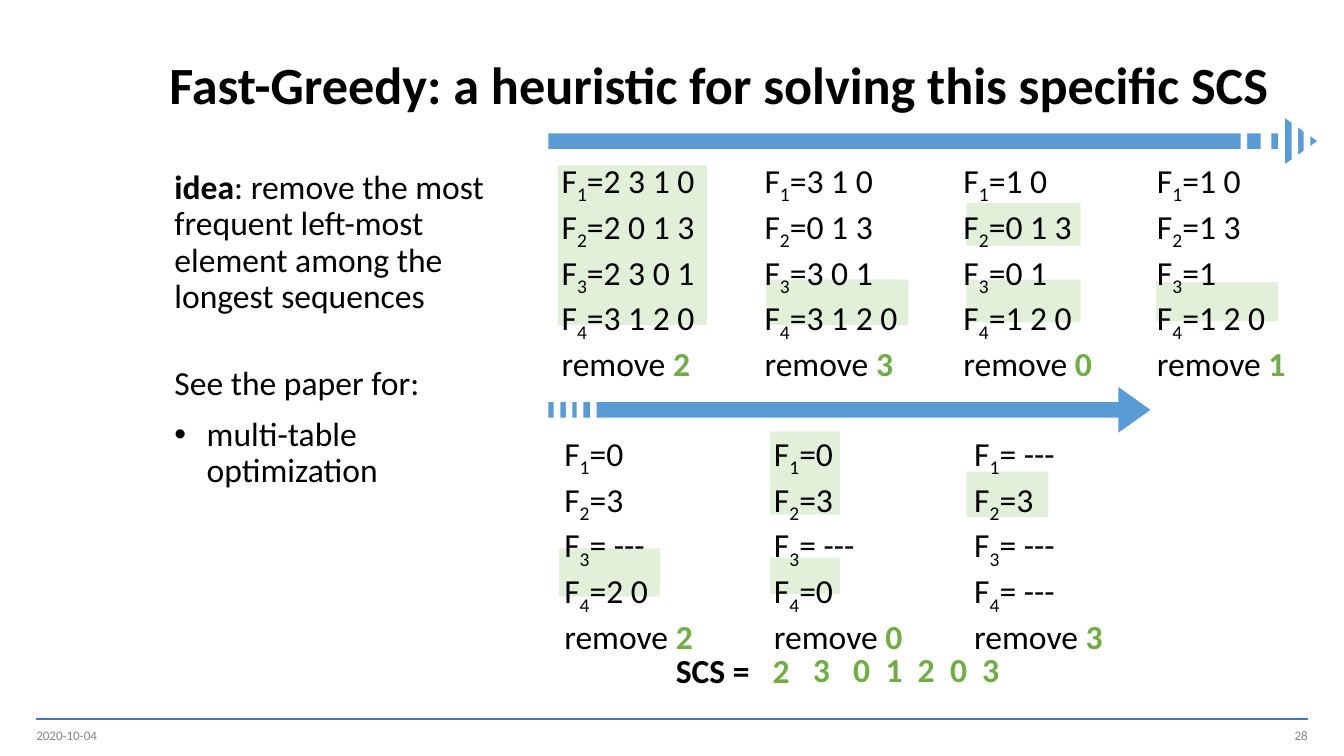
from dataclasses import dataclass

from lxml.etree import SubElement
from pptx import Presentation
from pptx.dml.color import RGBColor
from pptx.enum.shapes import MSO_CONNECTOR, MSO_SHAPE
from pptx.enum.text import MSO_ANCHOR, MSO_AUTO_SIZE, PP_ALIGN
from pptx.oxml.ns import qn
from pptx.util import Inches, Pt


@dataclass(frozen=True)
class Theme:
    font: str = "Calibri"
    text: str = "000000"
    accent: str = "70AD47"
    highlight: str = "E2F0D9"
    arrow: str = "5B9BD5"
    background: str = "FFFFFF"
    rule: str = "4472C4"
    footer: str = "848489"
    title_size: int = 28
    body_size: int = 18
    footer_size: int = 7


THEME = Theme()
TITLE = "Fast-Greedy: a heuristic for solving this specific SCS"

# left, top, width, height
HIGHLIGHTS = [
    (4.15, 1.23, 1.11, 1.19), (5.7, 2.08, 1.06, 0.34),
    (7.19, 1.51, 0.85, 0.32), (7.19, 2.08, 0.85, 0.32),
    (8.6, 2.1, 0.91, 0.29), (4.16, 4.08, 0.75, 0.36),
    (5.73, 3.21, 0.52, 0.62), (5.73, 4.15, 0.52, 0.27),
    (7.19, 3.51, 0.61, 0.34),
]
ARROWS = [(4.08, 0.88, 5.72, 0.34), (4.08, 2.88, 4.48, 0.34)]
ARROW_GAPS = [
    (9.7, 0.88, 0.05, 0.62), (9.61, 0.81, 0.05, 0.62),
    (9.51, 0.87, 0.05, 0.62), (9.38, 0.89, 0.08, 0.39),
    (9.23, 0.89, 0.05, 0.25), (4.39, 2.91, 0.05, 0.24),
    (4.29, 2.96, 0.05, 0.24), (4.21, 2.97, 0.05, 0.24),
    (4.12, 2.97, 0.05, 0.24),
]
# left, top, sequences F1 to F4, removed element
STEPS = [
    (4.08, 1.14, ("2 3 1 0", "2 0 1 3", "2 3 0 1", "3 1 2 0"), "2"),
    (5.59, 1.14, ("3 1 0", "0 1 3", "3 0 1", "3 1 2 0"), "3"),
    (7.07, 1.14, ("1 0", "0 1 3", "0 1", "1 2 0"), "0"),
    (8.51, 1.14, ("1 0", "1 3", "1", "1 2 0"), "1"),
    (4.1, 3.17, ("0", "3", " ---", "2 0"), "2"),
    (5.66, 3.17, ("0", "3", " ---", "0"), "0"),
    (7.15, 3.17, (" ---", "3", " ---", " ---"), "3"),
]


def add_span(para, text, size=THEME.body_size, color=THEME.text, bold=False, subscript=False):
    span = para.add_run()
    span.text = text
    font = span.font
    font.name, font.size, font.bold = THEME.font, Pt(size), bold
    font.color.rgb = RGBColor.from_string(color)
    if subscript:
        font._element.set("baseline", "-25000")


def add_box(slide, left, top, width, height):
    """Add an empty wrapping text box and return its text frame."""
    box = slide.shapes.add_textbox(Inches(left), Inches(top), Inches(width), Inches(height))
    box.text_frame.word_wrap = True
    return box.text_frame


def add_block(slide, kind, area, color):
    """Add a borderless filled shape."""
    block = slide.shapes.add_shape(kind, *map(Inches, area))
    block.shadow.inherit = False
    block.fill.solid()
    block.fill.fore_color.rgb = RGBColor.from_string(color)
    block.line.fill.background()
    return block


def add_arrow(slide, area):
    arrow = add_block(slide, MSO_SHAPE.RIGHT_ARROW, area, THEME.arrow)
    arrow.adjustments[0] = 0.34
    arrow.adjustments[1] = 0.7


def add_title(slide):
    title = slide.shapes.title
    title.left, title.top = Inches(1.16), Inches(0.28)
    title.width, title.height = Inches(8.57), Inches(0.74)
    frame = title.text_frame
    frame.auto_size = MSO_AUTO_SIZE.NONE
    frame.vertical_anchor = MSO_ANCHOR.MIDDLE
    para = frame.paragraphs[0]
    para.alignment = PP_ALIGN.LEFT
    para.line_spacing = Pt(30)
    add_span(para, TITLE, THEME.title_size, bold=True)


def add_idea(slide):
    frame = add_box(slide, 1.2, 1.22, 2.54, 4.14)
    idea, paper, topic = frame.paragraphs[0], frame.add_paragraph(), frame.add_paragraph()
    for para, space_before in ((idea, 0), (paper, 25), (topic, 6)):
        para.line_spacing = 0.9
        para.space_before, para.space_after = Pt(space_before), Pt(2)
    properties = topic._p.get_or_add_pPr()
    properties.set("marL", str(Inches(0.24)))
    properties.set("indent", str(-Inches(0.24)))
    SubElement(properties, qn("a:buFont")).set("typeface", "Arial")
    SubElement(properties, qn("a:buChar")).set("char", "•")
    add_span(idea, "idea", bold=True)
    add_span(idea, ": remove the most frequent left-most element among the longest sequences")
    add_span(paper, "See the paper for:")
    add_span(topic, "multi-table optimization")


def add_step(slide, left, top, sequences, removed):
    """List the four sequences and the element that is removed from them."""
    frame = add_box(slide, left, top, 1.41, 1.62)
    para = frame.paragraphs[0]
    for number, sequence in enumerate(sequences, 1):
        add_span(para, "F")
        add_span(para, str(number), subscript=True)
        add_span(para, f"={sequence}")
        para = frame.add_paragraph()
    add_span(para, "remove ")
    add_span(para, removed, color=THEME.accent, bold=True)


def add_result(slide):
    label = add_box(slide, 4.93, 4.79, 0.93, 0.4)
    add_span(label.paragraphs[0], "SCS =", bold=True)
    for left, top, width, text in (
        (5.65, 4.79, 0.35, "2"), (5.95, 4.78, 0.35, "3"), (6.25, 4.78, 2.31, "0\t1\t2\t0\t3"),
    ):
        para = add_box(slide, left, top, width, 0.4).paragraphs[0]
        if "\t" in text:
            tabs = SubElement(para._p.get_or_add_pPr(), qn("a:tabLst"))
            for position in range(1, text.count("\t") + 1):
                tab = SubElement(tabs, qn("a:tab"))
                tab.set("pos", str(Inches(0.24 * position)))
                tab.set("algn", "l")
        add_span(para, text, color=THEME.accent, bold=True)


def add_footer(slide):
    rule = slide.shapes.add_connector(
        MSO_CONNECTOR.STRAIGHT, Inches(0.27), Inches(5.35), Inches(9.73), Inches(5.35))
    rule.line.color.rgb = RGBColor.from_string(THEME.rule)
    rule.line.width = Pt(1)
    SubElement(rule._element.spPr, qn("a:effectLst"))
    for left, text, alignment in (
        (0.27, "2020-10-04", PP_ALIGN.LEFT), (7.48, "28", PP_ALIGN.RIGHT),
    ):
        frame = add_box(slide, left, 5.41, 2.25, 0.13)
        frame.margin_left = frame.margin_right = frame.margin_top = frame.margin_bottom = 0
        frame.vertical_anchor = MSO_ANCHOR.MIDDLE
        frame.paragraphs[0].alignment = alignment
        add_span(frame.paragraphs[0], text, THEME.footer_size, THEME.footer)


def main():
    deck = Presentation()
    deck.slide_width = Inches(10)
    deck.slide_height = Inches(10 * 9 / 16)
    page = deck.slides.add_slide(deck.slide_layouts[5])
    add_title(page)
    add_footer(page)
    add_idea(page)
    for area in HIGHLIGHTS:
        add_block(page, MSO_SHAPE.RECTANGLE, area, THEME.highlight)
    for step in STEPS:
        add_step(page, *step)
    for area in ARROWS:
        add_arrow(page, area)
    for area in ARROW_GAPS:
        add_block(page, MSO_SHAPE.RECTANGLE, area, THEME.background)
    add_result(page)
    deck.save("out.pptx")


if __name__ == "__main__":
    main()
